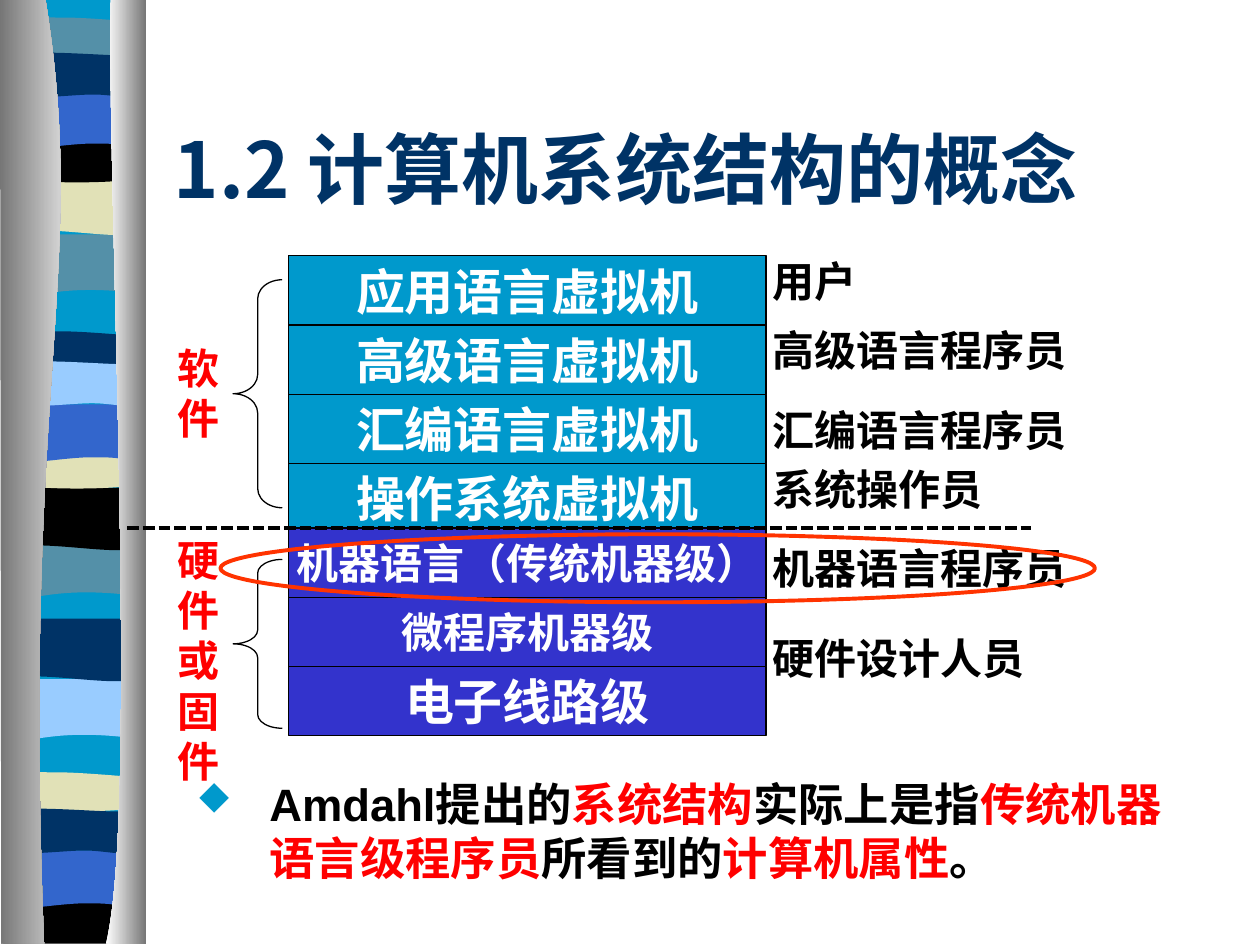
from lxml import etree
from pptx import Presentation, util as u
from pptx.dml import color
from pptx.enum import dml, shapes, text
from pptx.oxml import ns

Inches = u.Inches
COLORS = {
    "sky": "0099CC", "teal": "5490A8", "sand": "E1E1B7", "black": "000000",
    "royal": "3366CC", "navy": "003366", "pale": "99CCFF", "indigo": "3333CC",
    "white": "FFFFFF", "grey": "767676", "red": "FF0000", "orange": "FF3300",
}
RGB = {name: color.RGBColor.from_string(value) for name, value in COLORS.items()}

prs = Presentation()
prs.slide_width, prs.slide_height = Inches(10), Inches(7.5)
slide = prs.slides.add_slide(prs.slide_layouts[5])


def add_outline(left, top, steps):
    points = [(Inches(left + x), Inches(top + y))
              for step in steps for x, y in zip(step[::2], step[1::2])]
    builder = slide.shapes.build_freeform(*points[0])
    builder.add_line_segments(points[1:], close=True)
    outline = builder.convert_to_shape()
    segments = iter(outline._element.findall(".//" + ns.qn("a:lnTo")))
    for step in steps[1:]:
        segment = next(segments)
        if len(step) == 6:
            segment.tag = ns.qn("a:cubicBezTo")
            for _ in range(2):
                extra = next(segments)
                segment.append(extra[0])
                extra.getparent().remove(extra)
    outline.shadow.inherit = False
    outline.line.fill.background()
    return outline


def add_run(paragraph, words, size, ink, font="Times New Roman"):
    run = paragraph.add_run()
    run.text = words
    run.font.size, run.font.bold, run.font.name = u.Pt(size), True, font
    run.font.color.rgb = RGB[ink]


BANDS = {
    "block": [(1.02, 0), (1.02, 7.48), (0, 7.48), (0, 0)],
    "dip": [(1.02, 0), (1.02, 0.47), (0.32, 0.38, 0.17, 0.54, 0, 0.47), (0, 0)],
    "swell": [(1.02, 0), (1.02, 0.47), (0.85, 0.55, 0.31, 0.42, 0, 0.47), (0, 0)],
    "lens": [(1.02, 0.05), (1.02, 0.29), (0.85, 0.33, 0.17, 0.33, 0, 0.29), (0, 0.05),
             (0.07, 0, 0.22, 0.01, 0.39, 0.01), (0.56, 0.01, 0.89, 0.04, 1.02, 0.05)],
    "bowl": [(1.02, 0), (1.02, 0.33), (0.85, 0.38, 0.17, 0.38, 0, 0.33), (0, 0),
             (0.63, 0.05, 0.81, 0, 1.02, 0)],
    "slab": [(1.02, 0), (1.02, 0.37), (0.01, 0.37), (0, 0),
             (0.63, 0.05, 0.81, 0, 1.02, 0)],
    "arch": [(1.02, 0), (1.02, 0.47), (0.86, 0.42, 0.79, 0.42, 0.62, 0.42),
             (0.45, 0.42, 0.15, 0.47, 0, 0.47), (0, 0)],
    "flag": [(1.02, 0.05), (1.02, 0.36), (0.95, 0.41, 0.8, 0.36, 0.63, 0.36),
             (0.46, 0.36, 0.1, 0.41, 0, 0.36), (0, 0.05),
             (0.14, 0, 0.69, 0.05, 0.86, 0.05), (1.03, 0.05, 0.98, 0.05, 1.02, 0.05)],
}
RIBBON = [
    ("block", 0.11, -0.01, "sky"),
    ("dip", 0.1, 1.86, "teal"), ("swell", 0.13, 1.37, "sand"),
    ("lens", 0.13, 0.13, "teal"), ("bowl", 0.1, 1.08, "black"),
    ("arch", 0.11, 0.72, "royal"), ("flag", 0.11, 0.39, "navy"),
    ("dip", 0.07, 4.26, "teal"), ("swell", 0.1, 3.87, "black"),
    ("lens", 0.1, 2.62, "navy"), ("bowl", 0.1, 3.51, "sand"),
    ("arch", 0.1, 3.21, "royal"), ("flag", 0.1, 2.84, "pale"),
    ("dip", 0.05, 5.39, "pale"), ("swell", 0.08, 4.91, "navy"),
    ("lens", 0.07, 6.12, "sand"), ("slab", 0.07, 7.12, "black"),
    ("arch", 0.05, 6.75, "royal"), ("flag", 0.04, 6.39, "navy"),
]
for band, left, top, ink in RIBBON:
    stripe = add_outline(left, top, BANDS[band])
    stripe.fill.solid()
    stripe.fill.fore_color.rgb = RGB[ink]

CURTAINS = [
    ([(0.36, -0.01), (0.71, 2.16, 0.17, 2.96, 0.35, 7.49), (0.01, 7.49), (0, -0.01)],
     "grey", "white"),
    ([(0.88, -0.01), (0.84, 1.25, 1.11, 6.46, 0.84, 7.49), (1.16, 7.49), (1.16, 0)],
     "white", "grey"),
]
for steps, *inks in CURTAINS:
    curtain = add_outline(0, 0, steps)
    curtain.fill.gradient()
    curtain.fill.gradient_angle = 0
    for stop, ink in zip(curtain.fill.gradient_stops, inks):
        stop.color.rgb = RGB[ink]

title = slide.shapes.title
title.left, title.top, title.width, title.height = map(Inches, (1.28, 0.92, 8.5, 0.83))
title.text_frame.vertical_anchor = text.MSO_ANCHOR.BOTTOM
heading = title.text_frame.paragraphs[0]
heading.alignment = text.PP_ALIGN.LEFT
add_run(heading, "1.2 ", 44, "navy", "Noto Sans CJK SC")
add_run(heading, "计算机系统结构的概念", 44, "navy")

LEVEL_HEIGHT = 0.55
LEVEL_GROUPS = [
    (2.03, "sky", [("应用语言虚拟机", 28), ("高级语言虚拟机", 28),
                   ("汇编语言虚拟机", 28), ("操作系统虚拟机", 28)]),
    (4.19, "indigo", [("机器语言（传统机器级）", 24), ("微程序机器级", 24),
                      ("电子线路级", 28)]),
]
for top, ink, levels in LEVEL_GROUPS:
    for row, (words, size) in enumerate(levels):
        level = slide.shapes.add_shape(
            shapes.MSO_SHAPE.RECTANGLE, Inches(2.29), Inches(top + row * LEVEL_HEIGHT),
            Inches(3.79), Inches(LEVEL_HEIGHT))
        level.shadow.inherit = False
        level.fill.solid()
        level.fill.fore_color.rgb = RGB[ink]
        level.line.color.rgb = RGB["black"]
        level.line.width = u.Pt(0.75)
        level.text_frame.word_wrap = False
        level.text_frame.vertical_anchor = text.MSO_ANCHOR.MIDDLE
        level.text_frame.paragraphs[0].alignment = text.PP_ALIGN.CENTER
        add_run(level.text_frame.paragraphs[0], words, size, "white")

LABELS = [
    ("软件", 1.31, 2.67, 0.71, 0.9, "red"),
    ("硬件或固件", 1.31, 4.19, 0.71, 2.1, "red"),
    ("用户", 6.03, 1.98, 0.94, 0.5, "black"),
    ("高级语言程序员", 6.03, 2.53, 2.84, 0.5, "black"),
    ("汇编语言程序员", 6.03, 3.16, 2.91, 0.5, "black"),
    ("系统操作员", 6.03, 3.63, 2.13, 0.5, "black"),
    ("机器语言程序员", 6.03, 4.26, 2.6, 0.5, "black"),
    ("硬件设计人员", 6.03, 4.97, 2.99, 0.5, "black"),
]
for words, left, top, width, height, ink in LABELS:
    label = slide.shapes.add_textbox(*map(Inches, (left, top, width, height)))
    label.text_frame.word_wrap = True
    add_run(label.text_frame.paragraphs[0], words, 24, ink)

for top, height, curl in [(2.22, 1.81, 0.39), (4.44, 1.34, 0.28)]:
    brace = slide.shapes.add_shape(
        shapes.MSO_SHAPE.LEFT_BRACE, *map(Inches, (1.85, top, 0.39, height)))
    brace.adjustments[0] = curl
    brace.shadow.inherit = False
    brace.fill.background()
    brace.line.color.rgb = RGB["black"]
    brace.line.width = u.Pt(0.75)

boundary = slide.shapes.add_connector(
    shapes.MSO_CONNECTOR.STRAIGHT, *map(Inches, (1.01, 4.19, 8.18, 4.19)))
boundary.line.color.rgb = RGB["black"]
boundary.line.width = u.Pt(2.25)
boundary.line.dash_style = dml.MSO_LINE.SQUARE_DOT
etree.SubElement(boundary._element.spPr, ns.qn("a:effectLst"))

definition = slide.shapes.add_textbox(*map(Inches, (1.46, 6.11, 8.17, 0.98)))
definition.text_frame.word_wrap = True
sentence = definition.text_frame.paragraphs[0]
props = sentence._p.get_or_add_pPr()
props.set("marL", str(Inches(0.58)))
props.set("indent", str(-Inches(0.58)))
bullet_color = etree.SubElement(props, ns.qn("a:buClr"))
etree.SubElement(bullet_color, ns.qn("a:srgbClr"), val=COLORS["sky"])
etree.SubElement(props, ns.qn("a:buSzPct"), val="80000")
etree.SubElement(props, ns.qn("a:buFont"), typeface="Wingdings")
etree.SubElement(props, ns.qn("a:buChar"), char="u")
for words, ink in [
    ("Amdahl提出的", "black"), ("系统结构", "red"), ("实际上是指", "black"),
    ("传统机器语言级程序员", "red"), ("所看到的", "black"),
    ("计算机属性", "red"), ("。", "black"),
]:
    add_run(sentence, words, 25.9, ink, "Arial")

highlight = slide.shapes.add_shape(
    shapes.MSO_SHAPE.OVAL, *map(Inches, (1.75, 4.24, 6.94, 0.54)))
highlight.shadow.inherit = False
highlight.fill.background()
highlight.line.color.rgb = RGB["orange"]
highlight.line.width = u.Pt(2.25)

prs.save("out.pptx")
